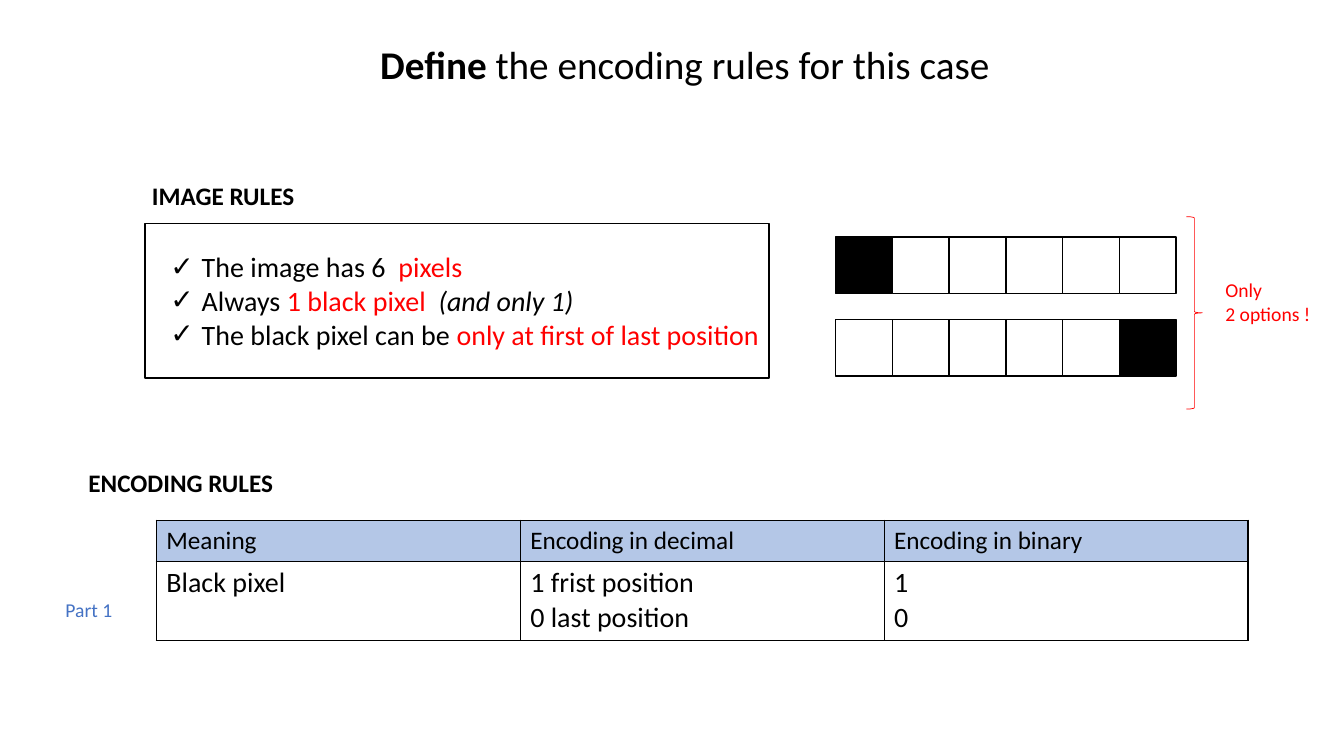
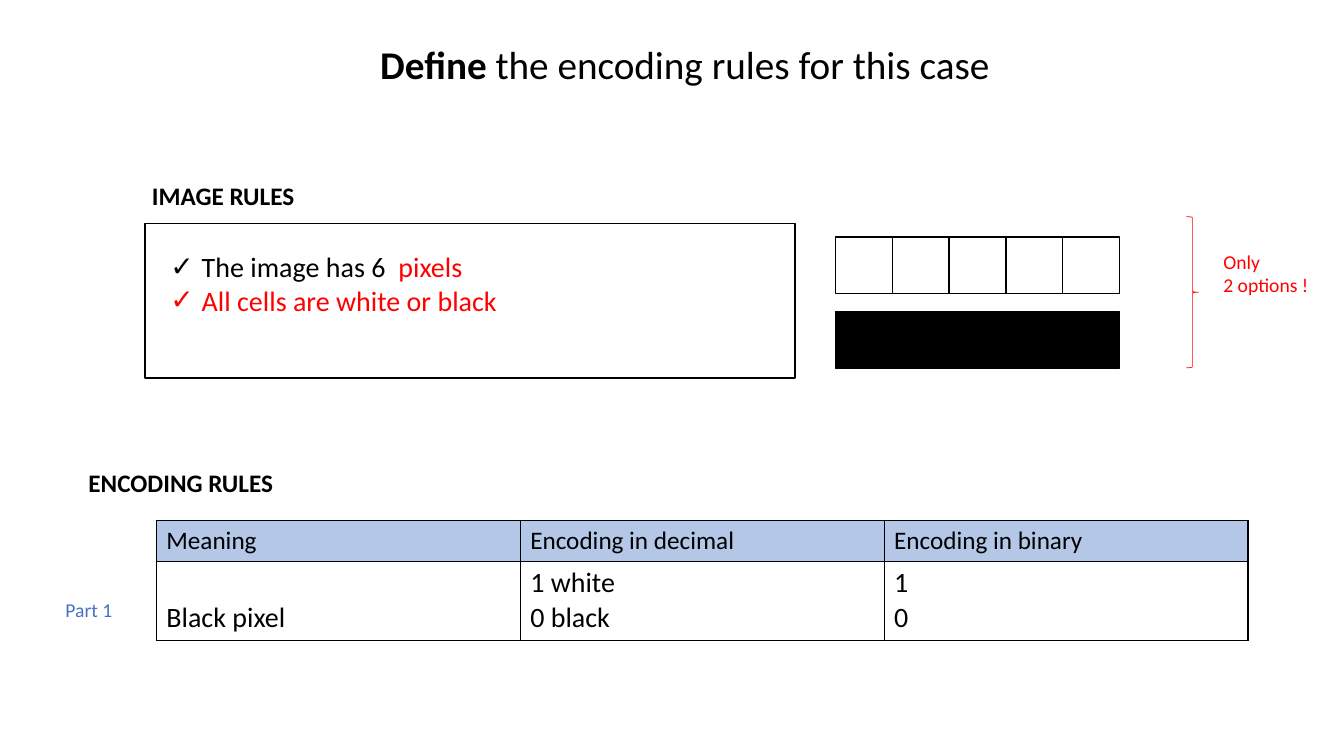
"""Build two slides on encoding rules for small pixel rows."""
import pptx
import pptx.util
import pptx.dml.color
import pptx.enum.shapes
import pptx.enum.text
import lxml.etree
from pptx.util import Cm

INK = {"black": "000000", "white": "FFFFFF", "red": "FF0000",
       "blue": "4472C4", "pale": "B4C7E7"}
FONT = "Calibri"
SHAPE = pptx.enum.shapes.MSO_SHAPE
ALIGN = pptx.enum.text.PP_ALIGN
ANCHOR = pptx.enum.text.MSO_ANCHOR
SPACE = "http://schemas.openxmlformats.org/drawingml/2006/main"
TITLE = [[("Define", "black", "b"), (" the encoding rules for this case", "black", "")]]
HEADS = ["Meaning", "Encoding in decimal", "Encoding in binary"]
LEFT, SIDE = 21.06, 1.43


def color(name):
    """Return the named colour."""
    return pptx.dml.color.RGBColor.from_string(INK[name])


def node(host, tag, **attrs):
    """Add a drawing element to a host element."""
    return lxml.etree.SubElement(host, f"{{{SPACE}}}{tag}", **attrs)


def plain(text, ink="black", look=""):
    """Return one paragraph of one run for each line of text."""
    return [[(line, ink, look)] for line in text.split("\n")]


def tick(para):
    """Give a paragraph a tick bullet with a hanging indent."""
    props = para._p.get_or_add_pPr()
    indent = Cm(0.79)
    props.set("marL", str(indent))
    props.set("indent", str(-indent))
    node(props, "buChar", char="✓")


def write(frame, lines, size, align=ALIGN.LEFT, ticks=False):
    """Fill a text frame with paragraphs of (text, ink, look) runs."""
    for i, runs in enumerate(lines):
        para = frame.paragraphs[0] if i == 0 else frame.add_paragraph()
        if ticks:
            tick(para)
        para.alignment = align
        para.space_before = pptx.util.Pt(0)
        base, look = runs[0][1], runs[0][2]
        para.font.name = FONT
        para.font.size = pptx.util.Pt(size)
        para.font.color.rgb = color(base)
        para.font.bold = look == "b"
        for text, ink, style in runs:
            run = para.add_run()
            run.text = text
            if ink != base:
                run.font.color.rgb = color(ink)
            if style != look:
                run.font.bold = style == "b"
                run.font.italic = style == "i"


def fill_holder(holder, box, lines, size, **style):
    """Move a placeholder and fill it with text."""
    holder.left, holder.top, holder.width, holder.height = map(Cm, box)
    frame = holder.text_frame
    frame.auto_size = pptx.enum.text.MSO_AUTO_SIZE.NONE
    frame.word_wrap = True
    frame.vertical_anchor = ANCHOR.TOP
    write(frame, lines, size, **style)


def label(slide, box, lines, size):
    """Add a text box."""
    frame = slide.shapes.add_textbox(*map(Cm, box)).text_frame
    frame.word_wrap = True
    write(frame, lines, size)


def shape(slide, kind, box, fill=None, line="black", width=1):
    """Add an outlined preset shape with an optional fill."""
    form = slide.shapes.add_shape(kind, *map(Cm, box))
    form.shadow.inherit = False
    if fill:
        form.fill.solid()
        form.fill.fore_color.rgb = color(fill)
    else:
        form.fill.background()
    form.line.color.rgb = color(line)
    form.line.width = pptx.util.Pt(width)


def pixels(slide, top, row):
    """Draw a row of pixels, where B is black and W is white."""
    for i, mark in enumerate(row):
        box = (LEFT + i * SIDE, top, SIDE, SIDE)
        shape(slide, SHAPE.RECTANGLE, box, "black" if mark == "B" else "white")


def border(cell):
    """Draw a thin black line on all four sides of a cell."""
    props = cell._tc.get_or_add_tcPr()
    for tag in ("lnL", "lnR", "lnT", "lnB"):
        edge = node(props, tag, w=str(pptx.util.Pt(1)))
        node(node(edge, "solidFill"), "srgbClr", val=INK["black"])


def grid(slide, texts, anchor):
    """Add the encoding table with its header and one row of values."""
    box = map(Cm, (3.94, 13.11, 27.51, 3.02))
    table = slide.shapes.add_table(2, len(HEADS), *box).table
    table.first_row = table.horz_banding = False
    for row, high in zip(table.rows, (1.03, 1.99)):
        row.height = Cm(high)
    for r, (texts, size) in enumerate(((HEADS, 18), (texts, 20))):
        for c, text in enumerate(texts):
            cell = table.cell(r, c)
            border(cell)
            if r == 0:
                cell.fill.solid()
                cell.fill.fore_color.rgb = color("pale")
            else:
                cell.fill.background()
            write(cell.text_frame, plain(text), size)
    table.cell(1, 0).vertical_anchor = anchor


def build(deck, rules, wide, rows, brace, note, values, anchor=ANCHOR.TOP):
    """Add one slide of image rules and encoding rules."""
    slide = deck.slides.add_slide(deck.slide_layouts[1])
    fill_holder(slide.shapes.title, (7.62, 0.89, 19.28, 1.45), TITLE, 28,
                align=ALIGN.CENTER)
    fill_holder(slide.placeholders[1], (4.04, 6.17, 15.5, 2.82), rules, 20,
                ticks=True)
    grid(slide, values, anchor)
    label(slide, (1.4, 14.94, 2, 0.86), plain("Part 1", "blue"), 14)
    label(slide, (1.98, 11.66, 5.6, 1.02), plain("ENCODING RULES", look="b"), 18)
    label(slide, (3.58, 4.42, 4.6, 1.02), plain("IMAGE RULES", look="b"), 18)
    shape(slide, SHAPE.RECTANGLE, (3.66, 5.64, wide, 3.89))
    for top, row in rows:
        pixels(slide, top, row)
    shape(slide, SHAPE.RIGHT_BRACE, (29.9, 5.46, *brace), line="red", width=0.5)
    label(slide, (*note, 2.9, 1.45), plain("Only\n2 options !", "red"), 14)


def main():
    """Build and save the deck."""
    deck = pptx.Presentation()
    deck.slide_width, deck.slide_height = Cm(33.87), Cm(19.05)
    count = [("The image has 6  ", "black", ""), ("pixels", "red", "")]
    build(deck,
          [count,
           [("Always ", "black", ""), ("1 black pixel  ", "red", ""),
            ("(and only 1)", "black", "i")],
           [("The black pixel can be ", "black", ""),
            ("only at first of last position", "red", "")]],
          15.72, [(5.97, "BWWWWW"), (8.05, "WWWWWB")], (0.4, 4.85), (30.63, 6.88),
          ["Black pixel", "1 frist position\n0 last position", "1\n0"])
    build(deck,
          [count, *plain("All cells are white or black", "red")],
          16.38, [(5.97, "WWWWW"), (7.85, "BBBBB")], (0.3, 3.81), (30.58, 6.17),
          ["Black pixel", "1 white\n0 black", "1\n0"], ANCHOR.BOTTOM)
    deck.save("out.pptx")


if __name__ == "__main__":
    main()
